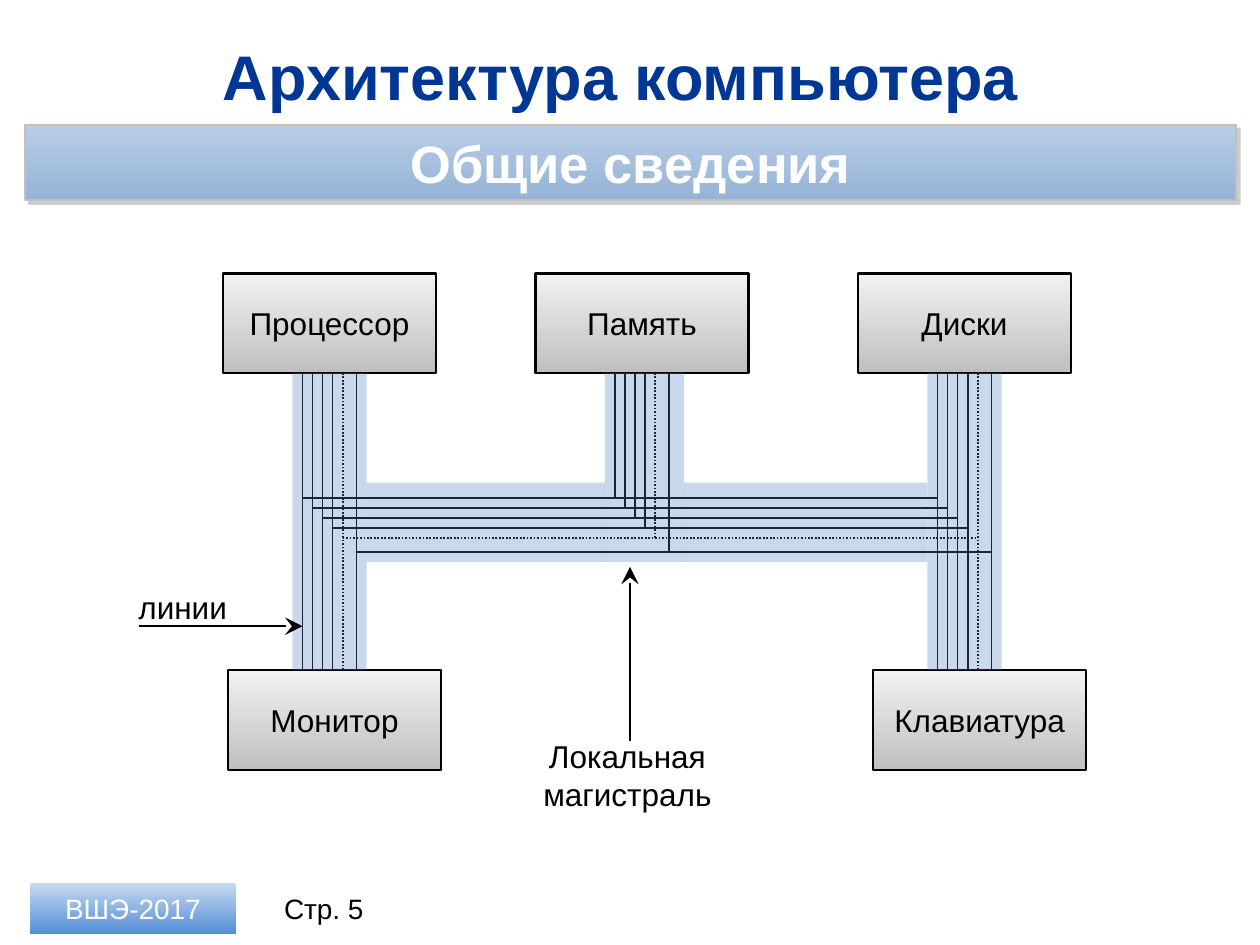
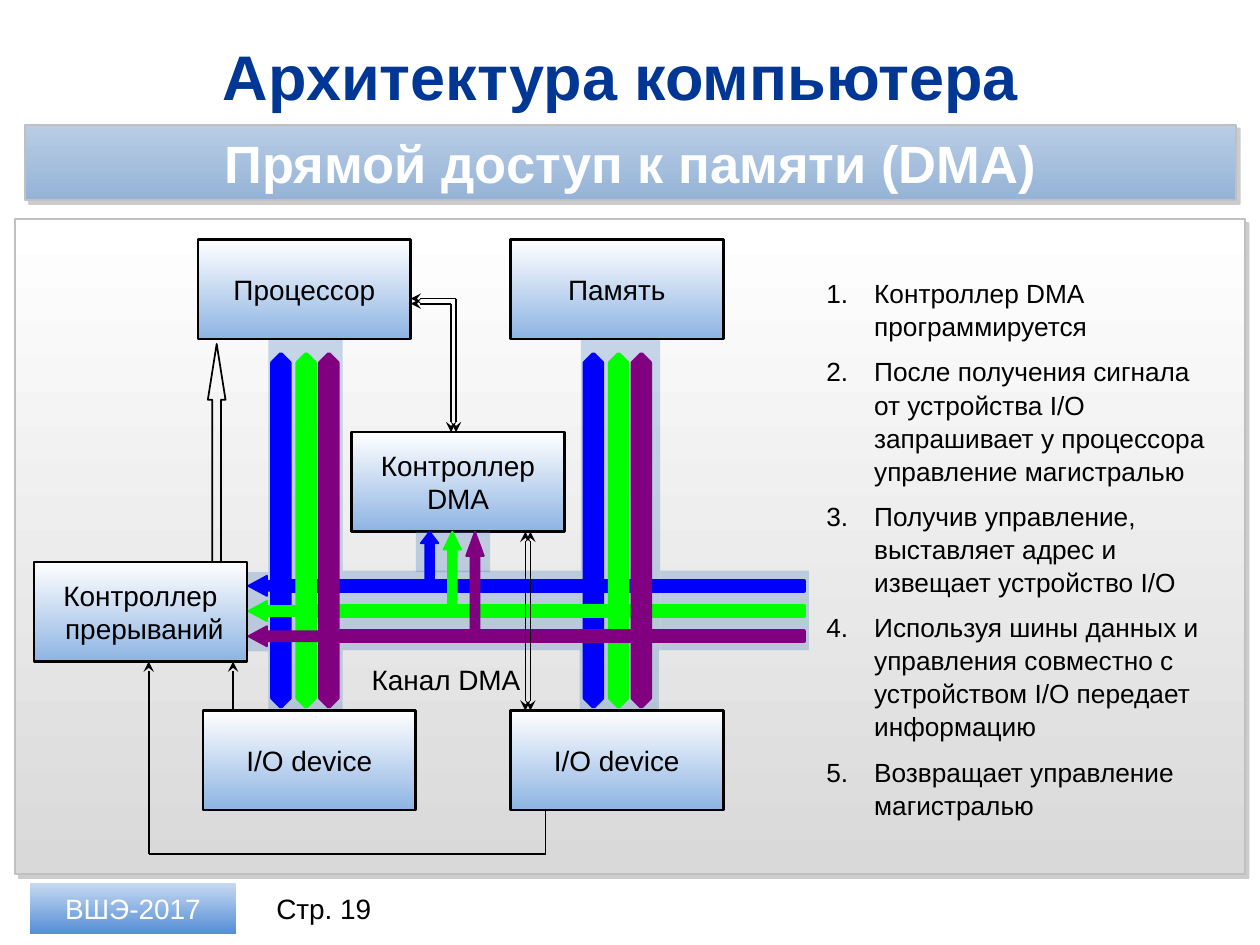
from lxml import etree
from pptx import Presentation
from pptx.dml.color import RGBColor
from pptx.enum.dml import MSO_LINE
from pptx.enum.shapes import MSO_CONNECTOR, MSO_SHAPE
from pptx.enum.text import MSO_ANCHOR, MSO_AUTO_SIZE, PP_ALIGN
from pptx.oxml.ns import qn
from pptx.util import Pt

PX = 9144  # 100 px to the inch
FONT = "Arial"
RECT, LEFT = MSO_SHAPE.RECTANGLE, MSO_SHAPE.LEFT_ARROW
UP, UPDOWN = MSO_SHAPE.UP_ARROW, MSO_SHAPE.UP_DOWN_ARROW
STRAIGHT, DOTS = MSO_CONNECTOR.STRAIGHT, MSO_LINE.ROUND_DOT
MIDDLE, TOP, NOFIT = MSO_ANCHOR.MIDDLE, MSO_ANCHOR.TOP, MSO_AUTO_SIZE.NONE
CENTER, START = PP_ALIGN.CENTER, PP_ALIGN.LEFT

COLORS = {
    "title": "003794", "black": "000000", "white": "FFFFFF",
    "edge": "C0C0C0", "shade": "808080", "bus": "4F81BD",
    "blue": "0000FF", "green": "00FF00", "purple": "800080",
}
GRADS = {  # top colour, bottom colour
    "band": ("B9CDE5", "95B3D7"), "foot": ("C6D9F1", "558ED5"),
    "gray": ("F2F2F2", "BFBFBF"), "sky": ("FFFFFF", "8EB4E3"),
    "panel": ("FFFFFF", "D9D9D9"),
}
BOX_W, BOX_H = 169, 79
WIRES = (0, 8, 16, 24, 32, 43)
DOTTED = 32
STEPS = (
    "Контроллер DMA программируется",
    "После получения сигнала от устройства I/O запрашивает у процессора "
    "управление магистралью",
    "Получив управление, выставляет адрес и извещает устройство I/O",
    "Используя шины данных и управления совместно с устройством I/O "
    "передает информацию",
    "Возвращает управление магистралью",
)


def rgb(name):
    return RGBColor.from_string(COLORS[name])


def write(shape, text, size, color="black", bold=False, align=CENTER,
          anchor=MIDDLE, wrap=True):
    frame = shape.text_frame
    frame.text = text
    frame.word_wrap = wrap
    frame.auto_size = NOFIT
    frame.vertical_anchor = anchor
    for para in frame.paragraphs:
        para.alignment = align
        for run in para.runs:
            font = run.font
            font.name, font.size, font.bold = FONT, Pt(size), bold
            font.color.rgb = rgb(color)
    return frame


def add_label(slide, text, x, y, w, h, size, **style):
    box = slide.shapes.add_textbox(x * PX, y * PX, w * PX, h * PX)
    return write(box, text, size, **style)


def add_form(slide, kind, x, y, w, h, fill=None, line=None, width=1):
    """Add a preset shape; fill names a colour, a gradient or nothing."""
    form = slide.shapes.add_shape(kind, x * PX, y * PX, w * PX, h * PX)
    form.shadow.inherit = False
    if fill in GRADS:
        form.fill.gradient()
        form.fill.gradient_angle = 270
        for stop, tone in zip(form.fill.gradient_stops, GRADS[fill]):
            stop.color.rgb = RGBColor.from_string(tone)
    elif fill:
        form.fill.solid()
        form.fill.fore_color.rgb = rgb(fill)
    else:
        form.fill.background()
    if line:
        form.line.color.rgb = rgb(line)
        form.line.width = Pt(width)
    else:
        form.line.fill.background()
    return form


def add_arrow(slide, kind, x, y, w, h, color, head, width=1):
    """Add a solid block arrow; head is its length over its breadth."""
    arrow = add_form(slide, kind, x, y, w, h, color, color, width)
    arrow.adjustments[0], arrow.adjustments[1] = 0.5, head
    return arrow


def add_shade(form):
    effects = form._element.spPr.find(qn("a:effectLst"))
    outer = etree.SubElement(effects, qn("a:outerShdw"), dist="38100",
                             dir="2700000", algn="tl", rotWithShape="0")
    tone = etree.SubElement(outer, qn("a:srgbClr"), val=COLORS["shade"])
    etree.SubElement(tone, qn("a:alpha"), val="40000")


def add_bus(slide, x, y, w, h):
    """Add a see-through stretch of the bus."""
    bus = add_form(slide, RECT, x, y, w, h, "bus")
    tone = bus._element.spPr.find(".//" + qn("a:srgbClr"))
    etree.SubElement(tone, qn("a:alpha"), val="30000")


def add_box(slide, text, x, y, fill, size, width):
    box = add_form(slide, RECT, x, y, BOX_W, BOX_H, fill, "black", width)
    write(box, text, size, wrap=False)


def add_line(slide, x1, y1, x2, y2, width=1, dash=None, head=False,
             tail=False, tip="med"):
    line = slide.shapes.add_connector(
        STRAIGHT, x1 * PX, y1 * PX, x2 * PX, y2 * PX)
    line.line.color.rgb = rgb("black")
    line.line.width = Pt(width)
    if dash:
        line.line.dash_style = dash
    props = line._element.spPr
    for wanted, end in ((head, "a:headEnd"), (tail, "a:tailEnd")):
        if wanted:
            etree.SubElement(props.find(qn("a:ln")), qn(end),
                             type="stealth", w=tip, len=tip)
    etree.SubElement(props, qn("a:effectLst"))


def add_wire(slide, gap, *ends):
    add_line(slide, *ends, dash=DOTS if gap == DOTTED else None)


def add_steps(slide, items, x, y, w, h):
    """Add the numbered list."""
    frame = add_label(slide, "\n".join(items), x, y, w, h, 15,
                      align=START, anchor=TOP)
    for i, para in enumerate(frame.paragraphs):
        props = para._p.get_or_add_pPr()
        props.set("marL", str(38 * PX))
        props.set("indent", str(-38 * PX))
        etree.SubElement(props, qn("a:buFont"), typeface=FONT)
        etree.SubElement(props, qn("a:buAutoNum"), type="arabicPeriod")
        para.line_spacing = 1.05
        if i:
            para.space_before = Pt(7)


def add_page(deck, topic, number):
    """Start a slide with the shared title, band and footer."""
    slide = deck.slides.add_slide(deck.slide_layouts[5])
    title = slide.shapes.title
    title.left, title.top = 35 * PX, 26 * PX
    title.width, title.height = 929 * PX, 68 * PX
    write(title, "Архитектура компьютера ", 36, "title", True)
    band = add_form(slide, RECT, 20, 99, 961, 60, "band", "edge")
    add_shade(band)
    write(band, topic, 30, "white", True)
    foot = add_form(slide, RECT, 24, 701, 163, 40, "foot")
    write(foot, "ВШЭ-2017", 16, "white")
    add_label(slide, f"Стр. {number}", 203, 701, 108, 40, 16)
    return slide


def draw_basics(deck):
    slide = add_page(deck, "Общие сведения", 5)

    # Devices
    for text, x, y in (("Процессор", 177, 217), ("Память", 425, 217),
                       ("Диски", 681, 217), ("Монитор", 181, 532),
                       ("Клавиатура", 693, 532)):
        add_box(slide, text, x, y, "gray", 18, 1.25)

    # Wires of the bus
    left, mid, right, top, low, cross = 240, 488, 744, 296, 532, 395
    for gap in WIRES:
        for x in (left, right):
            add_wire(slide, gap, x + gap, top, x + gap, low)
        add_wire(slide, gap, left + gap, cross + gap,
                 right + gap, cross + gap)
        add_wire(slide, gap, mid + gap, top, mid + gap, cross + gap)

    # Bus area over the wires
    for area in ((232, top, 59, 236), (480, top, 63, 150),
                 (736, top, 59, 236), (543, 383, 193, 63),
                 (291, 383, 189, 63)):
        add_bus(slide, *area)

    # Callouts
    add_line(slide, 110, 497, 240, 497, 1.25, tail=True, tip="lg")
    add_label(slide, "линии", 90, 462, 110, 40, 18, anchor=TOP)
    add_line(slide, 500, 450, 500, 588, 1.25, head=True, tip="lg")
    add_label(slide, "Локальная магистраль", 386, 580, 224, 71, 18,
              anchor=TOP)


def draw_dma(deck):
    slide = add_page(deck, "Прямой доступ к памяти (DMA)", 19)
    add_shade(add_form(slide, RECT, 12, 174, 976, 520, "panel", "edge"))

    # Bus area
    for area in ((193, 454, 20, 63), (213, 269, 59, 334),
                 (461, 269, 63, 247), (460, 516, 63, 87),
                 (524, 453, 118, 63), (272, 453, 189, 63)):
        add_bus(slide, *area)

    # Coloured buses
    tones = ("blue", "green", "purple")
    for i, (tone, shift) in enumerate(zip(tones, (0, 20, 38))):
        x, y = 220 + 20 * i, 461 + 20 * i
        add_form(slide, RECT, x, y, 638 - x, 8, tone, tone, 2.25)
        add_arrow(slide, LEFT, 197, y - 4, 59, 16, tone, 0.93)
        for x in (216, 464):
            add_arrow(slide, UPDOWN, x + shift, 281, 14, 280, tone,
                      4.6, 2.25)

    # Interrupt request and devices
    request = add_form(slide, UP, 165, 273, 14, 173, None, "black")
    request.adjustments[0], request.adjustments[1] = 0.5, 3.16
    for text, x, y in (("I/O device", 405, 564), ("Память", 405, 190),
                       ("Контроллер\v прерываний", 27, 446),
                       ("Процессор", 157, 190),
                       ("Контроллер\vDMA", 279, 343),
                       ("I/O device", 161, 564)):
        add_box(slide, text, x, y, "sky", 16, 1.5)

    # Branches up to the DMA controller
    add_bus(slide, 330, 422, 59, 32)
    for i, tone in enumerate(tones):
        add_arrow(slide, UP, 334 + 18 * i, 422, 14, 39 + 20 * i, tone,
                  0.65 + 0.36 * i)

    # Interrupt lines
    add_line(slide, 433, 643, 433, 678)
    add_line(slide, 433, 678, 118, 678)
    add_line(slide, 118, 678, 118, 525, tail=True)
    add_line(slide, 185, 564, 185, 525, tail=True)

    # DMA channel and its link to the processor
    for x in (417, 421):
        add_line(slide, x, 564, x, 422, head=True, tail=True)
    for x, y in ((358, 241), (362, 237)):
        add_line(slide, x, y, 326, y, tail=True)
        add_line(slide, x, y, x, 343, tail=True)
    add_label(slide, "Канал DMA", 279, 521, 150, 37, 16, anchor=TOP)

    add_steps(slide, STEPS, 646, 214, 327, 439)


def main():
    deck = Presentation()
    deck.slide_width, deck.slide_height = 1000 * PX, 750 * PX
    draw_basics(deck)
    draw_dma(deck)
    deck.save("out.pptx")


if __name__ == "__main__":
    main()
